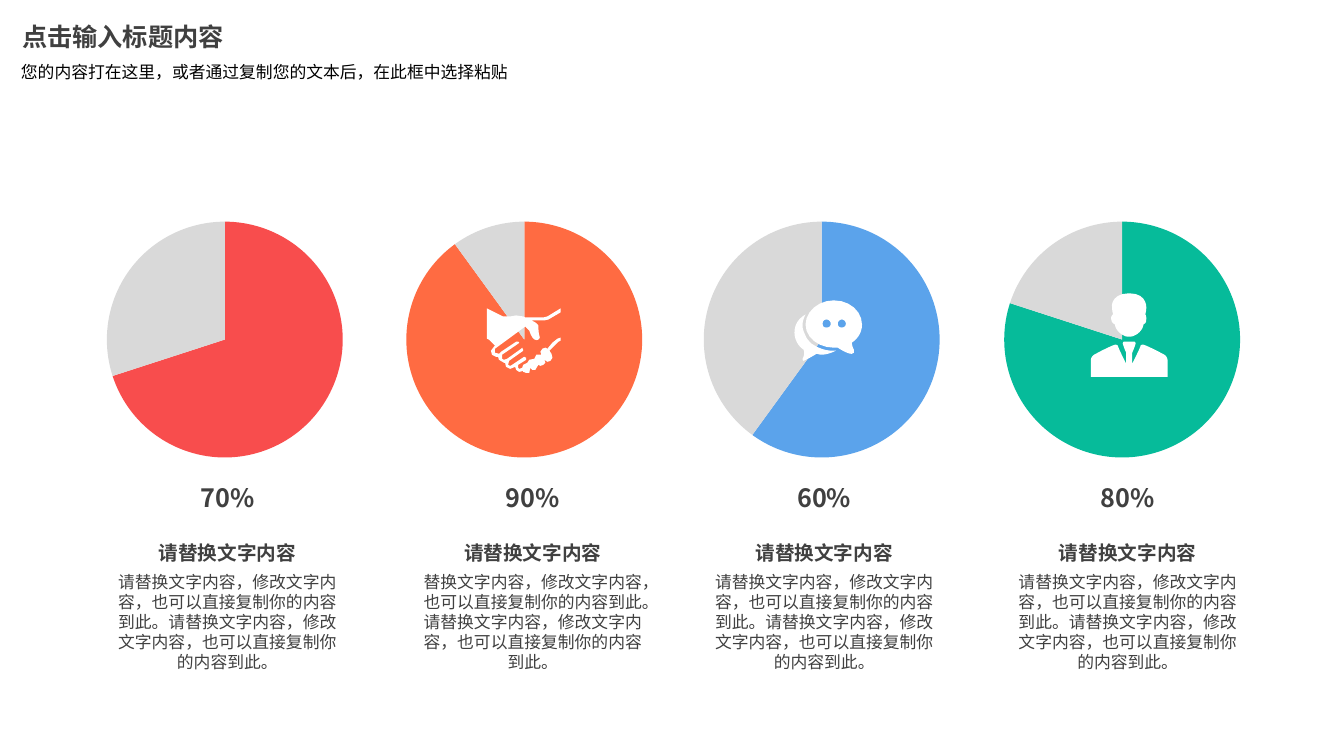
from dataclasses import dataclass

from lxml.etree import SubElement
from pptx import Presentation
from pptx.chart.data import CategoryChartData
from pptx.dml.color import RGBColor
from pptx.enum.chart import XL_CHART_TYPE
from pptx.enum.text import MSO_ANCHOR, MSO_AUTO_SIZE, PP_ALIGN
from pptx.oxml import parse_xml
from pptx.oxml.ns import nsdecls, qn
from pptx.util import Inches, Pt


@dataclass(frozen=True)
class Theme:
    font: str = "Noto Sans CJK SC"
    ink: str = "404040"
    black: str = "000000"
    white: str = "FFFFFF"
    rest: str = "D9D9D9"
    red: str = "F84D4D"
    orange: str = "FF6B42"
    blue: str = "5BA3EB"
    green: str = "06BB9A"
    title_size: int = 18
    heading_size: int = 14
    body_size: int = 12


THEME = Theme()
DIAL_WIDTH, DIAL_HEIGHT, PIE_DIAMETER = 2.74, 2.62, 2.34
ROW_TOP = 2.06
HEADING = "请替换文字内容"
BODY = "请替换文字内容，修改文字内容，也可以直接复制你的内容到此。请替换文字内容，修改文字内容，也可以直接复制你的内容到此。"

# Icon outlines in hundredths of an inch from the icon's top left corner
HANDSHAKE = """
M 57 12 L 61 11 73 4 73 0 60 8 56 9 38 9 36 8 29 7 23 8 16 8 0 0 0 30 2 31 8 37
7 38 4 42 5 46 9 48 11 48 12 51 17 54 18 54 19 58 23 60 28 58 29 61 32 63 36 62
36 63 39 64 42 64 43 59 45 61 48 61 51 56 53 57 56 56 58 54 57 51 60 53 63 52
65 49 64 45 62 42 67 37 71 33 73 32 73 29 70 30 65 34 60 40 58 39 55 40 53 43 54 46
49 46 47 50 42 51 40 54 36 56 35 59 32 60 31 59 31 56 39 51 39 49 37 48 25 56
23 57 21 56 22 52 36 42 36 41 35 39 34 40 20 50 17 51 15 50 15 46 31 35 32 34
31 33 29 33 14 43 12 45 8 44 8 40 38 18 42 22 C 45 32 49 32 51 31
C 52 30 53 29 52 27 C 51 24 51 17 51 17 C 50 15 47 13 44 12 L 54 12
"""
SPEECH_BUBBLES = """
M 47 19 C 45 19 43 21 43 23 C 43 26 45 27 47 27 C 49 27 51 26 51 23 C 51 21 49 19 47 19
M 32 19 C 29 19 28 21 28 23 C 28 26 29 27 32 27 C 34 27 36 26 36 23 C 36 21 34 19 32 19
M 11 14 C 9 18 8 21 8 25 C 8 28 9 31 11 35 C 12 38 14 40 17 43 C 23 47 30 50 38 50
L 41 50 C 37 52 32 54 26 54 L 22 53 C 17 56 12 59 9 60 L 8 59 8 58 C 8 58 11 53 9 49
C 3 45 0 38 0 32 C 0 24 4 18 11 14
M 39 0 C 55 0 67 11 67 24 C 67 31 64 37 57 42 C 57 46 59 49 59 49 L 59 52 57 53 56 53
C 54 53 49 51 43 47 L 39 47 C 24 47 11 37 11 24 C 11 11 24 0 39 0
"""
BUSINESSMAN = """
M 33 48 L 43 48 C 44 48 45 50 44 51 C 44 52 41 59 41 59 L 41 70 C 43 66 47 58 49 53
C 49 52 50 51 51 51 L 52 51 C 53 51 64 56 71 60 C 74 61 76 64 76 66 L 76 83 0 83 0 66
C 0 64 2 61 5 60 C 12 56 23 51 24 51 C 26 51 27 52 27 53 C 29 58 33 66 35 70
L 35 59 C 35 59 32 52 32 51 C 31 50 32 48 33 48
M 38 0 C 53 0 55 10 55 14 C 55 17 54 21 54 21 C 54 21 55 22 55 25
C 55 32 52 29 52 32 C 51 37 46 41 43 42 C 41 43 40 43 38 43
C 36 43 34 43 33 42 C 30 41 25 37 24 32 C 24 29 21 32 20 25
C 20 22 22 21 22 21 C 22 21 21 17 21 14 C 20 10 23 0 38 0
"""


@dataclass(frozen=True)
class Metric:
    percent: int
    color: str
    dial_left: float
    caption_center: float
    body: str = BODY
    icon: str = ""
    icon_at: tuple = (0, 0)


METRICS = [
    Metric(70, THEME.red, 0.86, 2.25),
    Metric(90, THEME.orange, 3.83, 5.28, BODY[1:], HANDSHAKE, (4.83, 3.06)),
    Metric(60, THEME.blue, 6.78, 8.17, BODY, SPEECH_BUBBLES, (7.88, 2.98)),
    Metric(80, THEME.green, 9.76, 11.18, BODY, BUSINESSMAN, (10.82, 2.91)),
]


def add_text(slide, box, text, size, color=THEME.ink, bold=False, frame_format=None, **paragraph_format):
    frame = slide.shapes.add_textbox(*map(Inches, box)).text_frame
    defaults = {"word_wrap": True, "auto_size": MSO_AUTO_SIZE.SHAPE_TO_FIT_TEXT}
    for key, value in (defaults | (frame_format or {})).items():
        setattr(frame, key, value)
    paragraph = frame.paragraphs[0]
    for key, value in paragraph_format.items():
        setattr(paragraph, key, value)
    run = paragraph.add_run()
    run.text = text
    for key, value in {"name": THEME.font, "size": Pt(size), "bold": bold}.items():
        setattr(run.font, key, value)
    run.font.color.rgb = RGBColor.from_string(color)
    SubElement(run._r.get_or_add_rPr(), qn("a:ea")).set("typeface", THEME.font)


def add_header(slide, left, top):
    add_text(slide, (left + 0.11, top, 2.33, 0.42), "点击输入标题内容", THEME.title_size, bold=True,
             frame_format={"auto_size": MSO_AUTO_SIZE.NONE, "margin_left": 0, "margin_right": 0,
                           "vertical_anchor": MSO_ANCHOR.MIDDLE})
    add_text(slide, (left, top + 0.41, 6.67, 0.3), "您的内容打在这里，或者通过复制您的文本后，在此框中选择粘贴",
             THEME.body_size, THEME.black)


def add_dial(slide, left, top, metric):
    data = CategoryChartData()
    data.categories = ["1", "2"]
    data.add_series("Series 1", (metric.percent, 100 - metric.percent))
    box = map(Inches, (left, top, DIAL_WIDTH, DIAL_HEIGHT))
    chart = slide.shapes.add_chart(XL_CHART_TYPE.PIE, *box, data).chart
    chart.has_legend = chart.has_title = False
    chart.font.name, chart.font.size = THEME.font, Pt(THEME.title_size)
    chart.font.color.rgb = RGBColor.from_string(THEME.black)
    plot = chart.plots[0]
    plot.vary_by_categories = True
    for index, color in enumerate((metric.color, THEME.rest)):
        slice_format = plot.series[0].points[index].format
        slice_format.fill.solid()
        slice_format.fill.fore_color.rgb = RGBColor.from_string(color)
        slice_format.line.fill.background()
    center_pie(chart)


def center_pie(chart):
    width, height = PIE_DIAMETER / DIAL_WIDTH, PIE_DIAMETER / DIAL_HEIGHT
    extents = {"x": (1 - width) / 2, "y": (1 - height) / 2, "w": width, "h": height}
    values = "".join(f'<c:{key} val="{value:.4f}"/>' for key, value in extents.items())
    layout = parse_xml(f'<c:layout {nsdecls("c")}><c:manualLayout><c:layoutTarget val="inner"/>'
                       f'<c:xMode val="edge"/><c:yMode val="edge"/>{values}</c:manualLayout></c:layout>')
    plot_area = chart._chartSpace.chart.plotArea
    for old_layout in plot_area.findall(qn("c:layout")):
        plot_area.remove(old_layout)
    plot_area.insert(0, layout)


def curve_points(start, controls, steps=6):
    """Points along a cubic curve, without its start."""
    for step in range(1, steps + 1):
        t = step / steps
        weights = ((1 - t) ** 3, 3 * t * (1 - t) ** 2, 3 * t * t * (1 - t), t ** 3)
        yield tuple(sum(w * p[axis] for w, p in zip(weights, (start, *controls))) for axis in (0, 1))


def outline_contours(outline):
    """Turn an M/L/C outline into lists of points, one for each contour."""
    contours = []
    for command in outline.replace("M", "|M").replace("L", "|L").replace("C", "|C").split("|")[1:]:
        kind, *numbers = command.split()
        points = list(zip(map(int, numbers[::2]), map(int, numbers[1::2])))
        if kind == "M":
            contours.append(points)
        elif kind == "L":
            contours[-1].extend(points)
        else:
            contours[-1].extend(curve_points(contours[-1][-1], points))
    return contours


def add_icon(slide, left, top, outline):
    contours = [[(Inches(left + x / 100), Inches(top + y / 100)) for x, y in contour]
                for contour in outline_contours(outline)]
    builder = slide.shapes.build_freeform(*contours[0][0])
    for index, (start, *others) in enumerate(contours):
        if index:
            builder.move_to(*start)
        builder.add_line_segments(others, close=True)
    icon = builder.convert_to_shape()
    icon.shadow.inherit = False
    icon.fill.solid()
    icon.fill.fore_color.rgb = RGBColor.from_string(THEME.white)
    icon.line.fill.background()


def add_caption(slide, center, top, metric):
    add_text(slide, (center - 0.49, top, 0.99, 0.33), f"{metric.percent}%", THEME.title_size, bold=True,
             alignment=PP_ALIGN.CENTER, line_spacing=0.7)
    add_text(slide, (center - 0.8, top + 0.38, 1.61, 0.42), HEADING, THEME.heading_size, bold=True,
             frame_format={"word_wrap": False}, alignment=PP_ALIGN.CENTER, line_spacing=1.5)
    add_text(slide, (center - 1.22, top + 0.8, 2.45, 1.11), metric.body, THEME.body_size,
             alignment=PP_ALIGN.CENTER)


def main():
    deck = Presentation()
    deck.slide_width, deck.slide_height = Inches(13.33), Inches(7.5)
    slide = deck.slides.add_slide(deck.slide_layouts[6])
    add_header(slide, 0.11, 0.15)
    for metric in METRICS:
        add_dial(slide, metric.dial_left, ROW_TOP, metric)
        add_caption(slide, metric.caption_center, ROW_TOP + 2.76, metric)
        if metric.icon:
            add_icon(slide, *metric.icon_at, metric.icon)
    deck.save("out.pptx")


if __name__ == "__main__":
    main()
